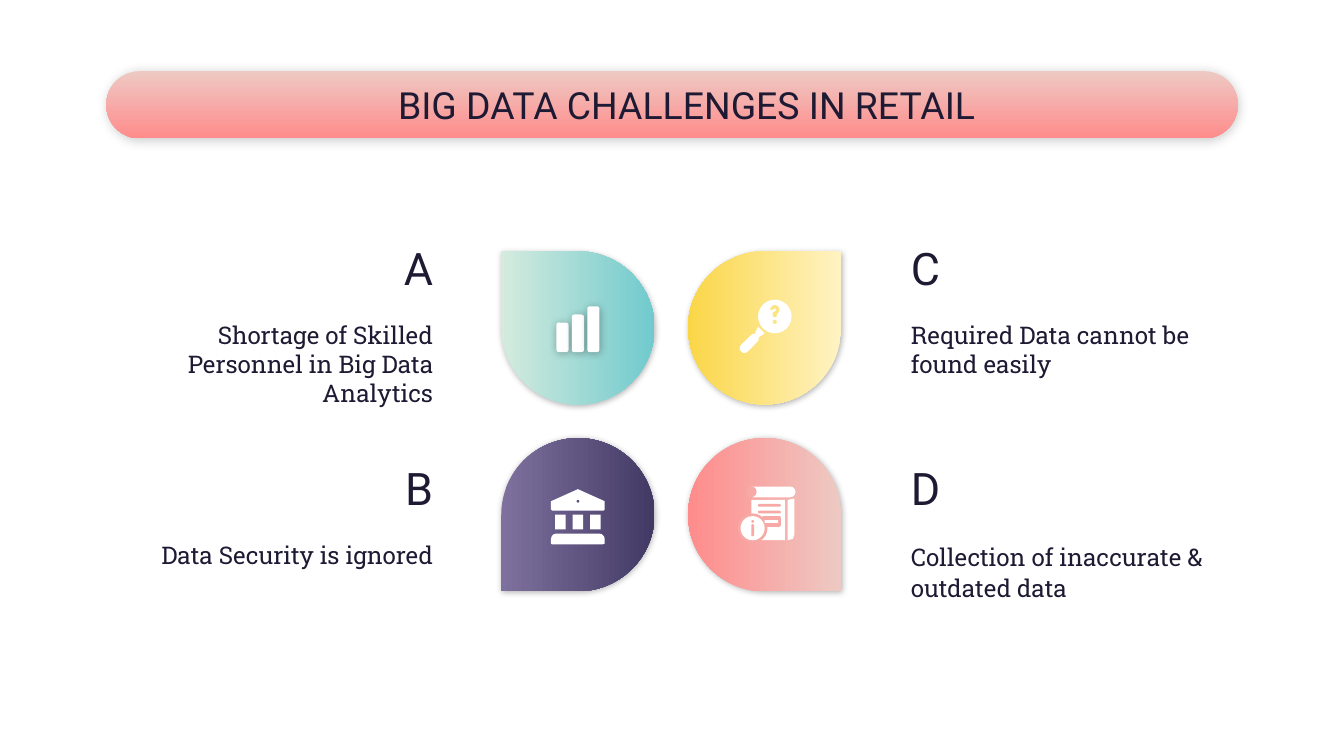
from lxml import etree
from pptx import Presentation
from pptx.dml.color import RGBColor
from pptx.enum.shapes import MSO_SHAPE
from pptx.enum.text import MSO_ANCHOR, PP_ALIGN
from pptx.oxml.ns import qn
from pptx.util import Inches, Pt

ROUND_RECT, OVAL, RECT = MSO_SHAPE.ROUNDED_RECTANGLE, MSO_SHAPE.OVAL, MSO_SHAPE.RECTANGLE
TEAR, BLOCK_ARC = MSO_SHAPE.TEAR, MSO_SHAPE.BLOCK_ARC
ROUND_TOP = MSO_SHAPE.ROUND_2_SAME_RECTANGLE
LEFT, CENTER, RIGHT = PP_ALIGN.LEFT, PP_ALIGN.CENTER, PP_ALIGN.RIGHT
MIDDLE, TOP = MSO_ANCHOR.MIDDLE, MSO_ANCHOR.TOP

INK = RGBColor(0x1F, 0x1A, 0x33)
WHITE = RGBColor(0xFF, 0xFF, 0xFF)
BLUSH, CORAL = RGBColor(0xEE, 0xC9, 0xC3), RGBColor(0xFF, 0x8C, 0x8C)
MINT, TEAL = RGBColor(0xD4, 0xEB, 0xDE), RGBColor(0x70, 0xCA, 0xCD)
CREAM, YELLOW = RGBColor(0xFF, 0xF3, 0xC4), RGBColor(0xFA, 0xD6, 0x47)
LILAC, PURPLE = RGBColor(0x7E, 0x71, 0x9E), RGBColor(0x42, 0x3A, 0x64)
MID_CORAL = RGBColor(0xF7, 0xA9, 0xA6)
MID_YELLOW = RGBColor(0xFD, 0xE4, 0x82)
MID_PURPLE = RGBColor(0x60, 0x55, 0x81)


def style_shape(shape, colors, shadow=None):
    """Fill with one colour or a downward gradient; shadow is (opacity %, blur in points)."""
    if len(colors) == 1:
        shape.fill.solid()
        shape.fill.fore_color.rgb = colors[0]
    else:
        shape.fill.gradient()
        shape.fill.gradient_angle = 270
        for stop, color in zip(shape.fill.gradient_stops, colors):
            stop.color.rgb = color
    shape.line.fill.background()
    shape.shadow.inherit = False
    if shadow:
        opacity, blur = shadow
        effects = shape._element.spPr.find(qn("a:effectLst"))
        outer = etree.SubElement(effects, qn("a:outerShdw"), blurRad=str(Pt(blur)),
                                 dist=str(Pt(0.8)), dir=str(66 * 60000),
                                 algn="bl", rotWithShape="0")
        color = etree.SubElement(outer, qn("a:srgbClr"), val="000000")
        etree.SubElement(color, qn("a:alpha"), val=str(opacity * 1000))


def write_text(shape, text, size, font="Roboto", align=LEFT, anchor=TOP,
               inset=0.1, after=16, spacing=1.0):
    frame = shape.text_frame
    frame.word_wrap = True
    frame.vertical_anchor = anchor
    frame.margin_left = frame.margin_right = Inches(0.1)
    frame.margin_top = frame.margin_bottom = Inches(inset)
    paragraph = frame.paragraphs[0]
    paragraph.alignment = align
    paragraph.space_after = Pt(after)
    paragraph.line_spacing = spacing
    run = paragraph.add_run()
    run.text = text
    run.font.size = Pt(size)
    run.font.name = font
    run.font.color.rgb = INK


presentation = Presentation()
presentation.slide_width = Inches(10)
presentation.slide_height = Inches(10) * 9 // 16
slide = presentation.slides.add_slide(presentation.slide_layouts[5])
shapes = slide.shapes

# Title on its banner
banner = shapes.add_shape(ROUND_RECT, Inches(0.79), Inches(0.53), Inches(8.42), Inches(0.5))
banner.adjustments[0] = 0.5
style_shape(banner, (BLUSH, CORAL), shadow=(20, 5.6))
title = shapes.title
title.left, title.top, title.width, title.height = (
    Inches(1.94), Inches(0.53), Inches(6.41), Inches(0.5))
write_text(title, "BIG DATA CHALLENGES IN RETAIL ", 20, align=CENTER, anchor=MIDDLE, after=0)
shapes._spTree.append(title._element)  # in front of the banner

# Four petals, each with its corner pointing outwards
petals = [
    (3.73, 1.87, 270, False, (MINT, TEAL)),
    (5.12, 1.87, 90, True, (CREAM, YELLOW)),
    (5.12, 3.26, 90, False, (BLUSH, CORAL)),
    (3.73, 3.26, 270, True, (LILAC, PURPLE)),
]
for left, top, rotation, flipped, colors in petals:
    petal = shapes.add_shape(TEAR, Inches(left), Inches(top), Inches(1.14), Inches(1.14))
    petal.rotation = rotation
    if flipped:
        petal._element.spPr.xfrm.set("flipH", "1")
    style_shape(petal, colors, shadow=(30, 3.4))

# Letters and descriptions
challenges = [
    ("A", "Shortage of Skilled Personnel in Big Data Analytics", 0.78, 1.79, RIGHT, {}),
    ("B", "Data Security is ignored", 0.78, 3.43, RIGHT, {}),
    ("C", "Required Data cannot be found easily", 6.68, 1.79, LEFT, {}),
    ("D", "Collection of inaccurate & outdated data", 6.68, 3.43, LEFT,
     {"after": 8, "spacing": 1.07}),
]
for letter, description, left, top, align, extra in challenges:
    heading = shapes.add_textbox(Inches(left), Inches(top), Inches(2.54), Inches(0.49))
    write_text(heading, letter, 24, align=align, inset=0)
    body = shapes.add_textbox(Inches(left), Inches(top + 0.49), Inches(2.54), Inches(0.77))
    write_text(body, description, 13, font="Roboto Slab", align=align, **extra)

# Icons: (preset, (left, top, width, height), colour, adjustments, rotation);
# a preset of None stands for a polygon given by its points
bars = [(ROUND_RECT, (4.14 + 0.115 * i, 2.4 - 0.06 * i, 0.09, 0.22 + 0.06 * i), WHITE, (0.2,), 0)
        for i in range(3)]
magnifier = [
    (ROUND_RECT, (5.49, 2.52, 0.17, 0.07), WHITE, (0.45,), -45),
    (None, [(5.61, 2.5), (5.64, 2.43), (5.69, 2.48), (5.63, 2.52)], WHITE, (), 0),
    (OVAL, (5.64, 2.23, 0.25, 0.25), WHITE, (), 0),
    (BLOCK_ARC, (5.73, 2.27, 0.07, 0.07), MID_YELLOW, (108, 54, 0.35), 0),
    (ROUND_RECT, (5.75, 2.32, 0.03, 0.04), MID_YELLOW, (0.4,), 0),
    (OVAL, (5.75, 2.38, 0.03, 0.03), MID_YELLOW, (), 0),
]
bank = [
    (None, [(4.1, 3.73), (4.3, 3.64), (4.5, 3.73), (4.5, 3.79), (4.49, 3.8),
            (4.11, 3.8), (4.1, 3.79)], WHITE, (), 0),
    (OVAL, (4.29, 3.72, 0.02, 0.02), MID_PURPLE, (), 0),
    *[(RECT, (4.13 + 0.13 * i, 3.83, 0.08, 0.11), WHITE, (), 0) for i in range(3)],
    (ROUND_TOP, (4.1, 3.97, 0.4, 0.08), WHITE, (0.5, 0.12), 0),
]
book = [
    (ROUND_RECT, (5.56, 3.62, 0.36, 0.08), WHITE, (0.5,), 0),
    (OVAL, (5.55, 3.62, 0.08, 0.08), MID_CORAL, (), 0),
    (None, [(5.86, 3.72), (5.91, 3.71), (5.91, 3.98), (5.9, 4.01), (5.86, 4.02)], WHITE, (), 0),
    (RECT, (5.59, 3.72, 0.25, 0.3), WHITE, (), 0),
    *[(ROUND_RECT, (5.64, top, 0.17, 0.02), MID_CORAL, (0.5,), 0) for top in (3.75, 3.8)],
    (OVAL, (5.49, 3.82, 0.22, 0.22), MID_CORAL, (), 0),
    (ROUND_RECT, (5.67, 3.84, 0.14, 0.08), MID_CORAL, (0.15,), 0),
    (RECT, (5.69, 3.87, 0.1, 0.02), WHITE, (), 0),
    (OVAL, (5.51, 3.84, 0.18, 0.18), WHITE, (), 0),
    (OVAL, (5.59, 3.87, 0.02, 0.02), MID_CORAL, (), 0),
    (ROUND_RECT, (5.59, 3.9, 0.02, 0.09), MID_CORAL, (0.5,), 0),
]
for icon, shadow in [(bars, (31, 4.5)), (book, None), (magnifier, None), (bank, None)]:
    group = shapes.add_group_shape()
    for preset, geometry, color, adjustments, rotation in icon:
        if preset is None:
            points = [(Inches(x), Inches(y)) for x, y in geometry]
            builder = group.shapes.build_freeform(*points[0])
            builder.add_line_segments(points[1:], close=True)
            piece = builder.convert_to_shape()
        else:
            piece = group.shapes.add_shape(preset, *[Inches(value) for value in geometry])
            piece.rotation = rotation
            for index, value in enumerate(adjustments):
                piece.adjustments[index] = value
        style_shape(piece, (color,), shadow)

presentation.save("out.pptx")
